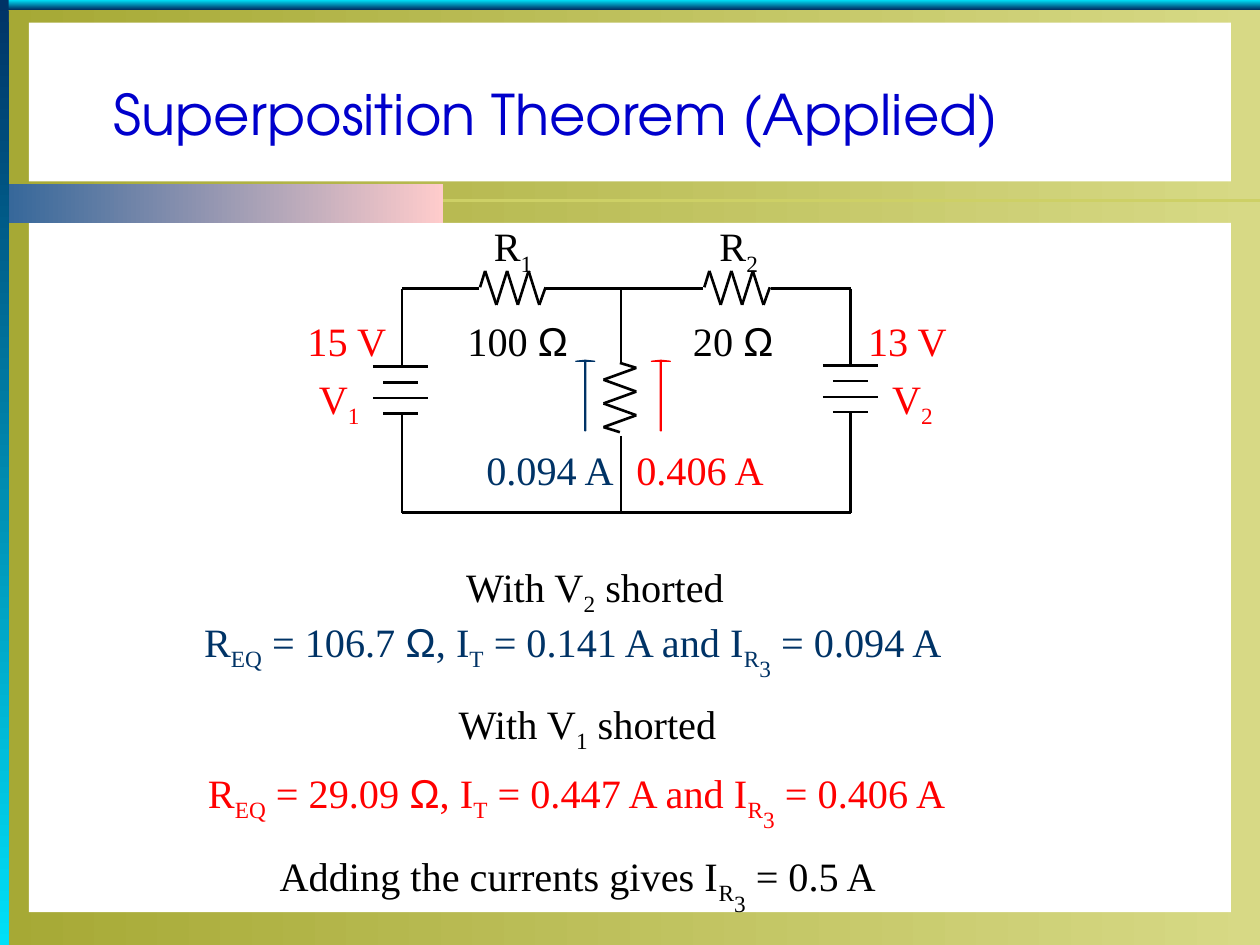
import itertools

import lxml.etree
import pptx
import pptx.dml.color
import pptx.enum.shapes
import pptx.enum.text
import pptx.oxml.ns
import pptx.util

BLACK, NAVY, RED, WHITE = "000000", "003366", "FF0000", "FFFFFF"
OLIVE, SKY, ROSE = ("D7D985", "A6A935"), ("003366", "00E0F8"), ("FFCCCC", "336699")
RECT = pptx.enum.shapes.MSO_SHAPE.RECTANGLE
UP_ARROW = pptx.enum.shapes.MSO_SHAPE.UP_ARROW
STRAIGHT = pptx.enum.shapes.MSO_CONNECTOR.STRAIGHT

deck = pptx.Presentation()
deck.slide_width, deck.slide_height = pptx.util.Inches(10), pptx.util.Inches(7.5)
slide = deck.slides.add_slide(deck.slide_layouts[5])
shapes = slide.shapes


def paint(fill, *colours, angle=0):
    """Fill with one hex colour, or with a gradient between two."""
    if len(colours) == 1:
        fill.solid()
        fill.fore_color.rgb = pptx.dml.color.RGBColor.from_string(colours[0])
        return
    fill.gradient()
    fill.gradient_angle = angle
    for stop, colour, share in zip(fill.gradient_stops, colours, (0, 1)):
        stop.color.rgb = pptx.dml.color.RGBColor.from_string(colour)
        stop.position = share


def grid(*cells):
    """Turn cells of a grid of 100 columns by 75 rows into lengths."""
    return [round(cell * deck.slide_width / 100) for cell in cells]


# Frame, back to front, then the two current arrows
CIRCUIT_WIRE = (BLACK, 1.5)
frame = [
    ((0, 0, 100, 75), OLIVE, 180),
    ((2.3, 17.7, 95.4, 54.7), (WHITE,), 0),
    ((0, 0, 100, 0.75), SKY[::-1], 270),
    ((0, 15.9, 100, 15.9), ("CDD066", 1.5), None),
    ((0.1, 14.6, 35.1, 3.1), ROSE, 180),
    ((0, 0, 0.7, 75), SKY, 270),
    ((2.3, 1.8, 95.4, 12.6), (WHITE,), 0),
]

# Circuit: each path is a chain of straight wires
left, middle, right, top, bottom = 31.9, 49.3, 67.5, 22.9, 40.7
paths = [
    [(left, top), (38, top)],
    [(43.3, top), (55.8, top)],
    [(61.2, top), (right, top)],
    [(left, bottom), (right, bottom)],
    [(left, top), (left, 29)],
    [(left, 32.8), (left, bottom)],
    [(right, top), (right, 29)],
    [(right, 32.7), (right, bottom)],
    [(middle, top), (middle, 28.9)],
    [(middle, 34.6), (middle, bottom)],
]
for centre, first_plate in ((31.8, 29.1), (67.5, 29)):
    for drop, half in ((0, 2.2), (1.25, 1.4), (2.5, 2.2), (3.7, 1.4)):
        y = first_plate + drop
        paths.append([(centre - half, y), (centre + half, y)])

zigzag = [(0, 0), (0.4, -1.3), (1.3, 1.4), (2.15, -1.3),
          (3, 1.4), (3.85, -1.3), (4.7, 1.4), (5.2, 0)]
for start in (38.1, 55.9):
    paths.append([(start + dx, 22.8 + dy) for dx, dy in zigzag])
paths.append([(49.2, 28.8)]
             + [(50.5 if turn % 2 == 0 else 47.9, 29.2 + 0.94 * turn) for turn in range(6)]
             + [(49.2, 34.3)])

wires = [((*a, *b), CIRCUIT_WIRE, None)
         for path in paths for a, b in itertools.pairwise(path)]

for place, look, angle in frame + wires:
    if angle is None:
        colour, weight = look
        wire = shapes.add_connector(STRAIGHT, *grid(*place))
        paint(wire.line.fill, colour)
        wire.line.width = pptx.util.Pt(weight)
        lxml.etree.SubElement(wire._element.spPr, pptx.oxml.ns.qn("a:effectLst"))
    else:
        panel = shapes.add_shape(RECT, *grid(*place))
        panel.shadow.inherit = False
        panel.line.fill.background()
        paint(panel.fill, *look, angle=angle)

for x, colour in ((45.7, NAVY), (51.7, RED)):
    current = shapes.add_shape(UP_ARROW, *grid(x, 28.6, 1.5, 5.6))
    current.shadow.inherit = False
    current.adjustments[0] = current.adjustments[1] = 0.054
    paint(current.fill, colour)
    paint(current.line.fill, colour)
    current.line.width = pptx.util.Pt(0.75)

# Labels: each run is its text and its baseline shift in percent
labels = [
    ((38.1, 17, 5.3, 5.5), BLACK, [("R", 0), ("1", -25)]),
    ((56, 17, 5.3, 5.5), BLACK, [("R", 0), ("2", -25)]),
    ((24.2, 29.1, 5.5, 5.5), RED, [("V", 0), ("1", -25)]),
    ((69.7, 29.1, 5.5, 5.5), RED, [("V", 0), ("2", -25)]),
    ((36, 24.5, 10.3, 4.9), BLACK, [("100 ", 0), ("Ω", 0)]),
    ((53.9, 24.5, 8.7, 4.9), BLACK, [("20 ", 0), ("Ω", 0)]),
    ((23.3, 24.5, 8.5, 4.9), RED, [("15 V", 0)]),
    ((67.8, 24.5, 8.5, 4.9), RED, [("13 V", 0)]),
    ((37.5, 34.7, 12.4, 4.9), NAVY, [("0.094 A", 0)]),
    ((49.4, 34.7, 12.4, 4.9), RED, [("0.406 A", 0)]),
    ((21.1, 67, 49.6, 6.3), BLACK,
     [("Adding the currents gives I", 0), ("R", -25), ("3", -50), (" = 0.5 A", 0)]),
]
cases = [
    ("2", (35.9, 44), (15.1, 48.4), NAVY, "106.7", "0.141", "0.094"),
    ("1", (35.3, 54.9), (15.4, 60.4), RED, "29.09", "0.447", "0.406"),
]
for source, heading_at, result_at, colour, ohms, total, branch in cases:
    labels += [
        ((*heading_at, 22.7, 5.5), BLACK, [("With V", 0), (source, -25), (" shorted", 0)]),
        ((*result_at, 61.5, 6.3), colour,
         [("R", 0), ("EQ", -25), (f" = {ohms} ", 0), ("Ω", 0), (", I", 0), ("T", -25),
          (f" = {total} A and I", 0), ("R", -25), ("3", -50), (f" = {branch} A", 0)]),
    ]

side, edge = grid(1.1, 0.6)
label_format = {"margin_left": side, "margin_right": side, "margin_top": edge,
                "margin_bottom": edge, "word_wrap": False}
for place, colour, runs in labels:
    frame_text = shapes.add_textbox(*grid(*place)).text_frame
    for name, value in label_format.items():
        setattr(frame_text, name, value)
    for text, shift in runs:
        run = frame_text.paragraphs[0].add_run()
        run.text = text
        run.font.size = pptx.util.Pt(23)
        run.font.name = "Arial" if text == "Ω" else "Times New Roman"
        paint(run.font.fill, colour)
        if shift:
            run.font._element.set("baseline", str(shift * 1000))

# Title, brought in front of the frame
title = shapes.title
shapes._spTree.append(title._element)
for name, value in zip(("left", "top", "width", "height"), grid(6.8, 5.8, 88.4, 6.3)):
    setattr(title, name, value)
title.text_frame.text = " Superposition Theorem (Applied)"
title.text_frame.vertical_anchor = pptx.enum.text.MSO_ANCHOR.MIDDLE
heading = title.text_frame.paragraphs[0]
heading.alignment = pptx.enum.text.PP_ALIGN.LEFT
title_font = {"size": pptx.util.Pt(32), "name": "TeX Gyre Adventor", "bold": False}
for name, value in title_font.items():
    setattr(heading.runs[0].font, name, value)
paint(heading.runs[0].font.fill, "0000CC")

deck.save("out.pptx")
